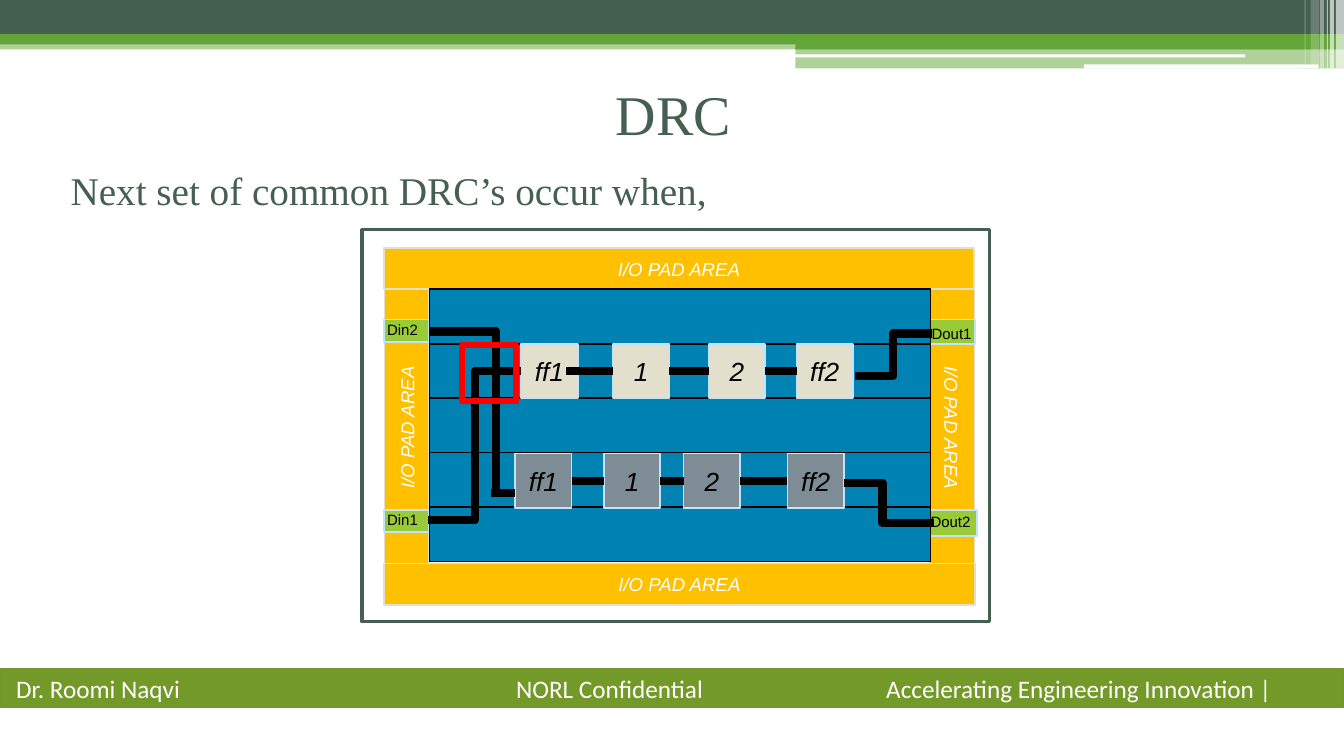
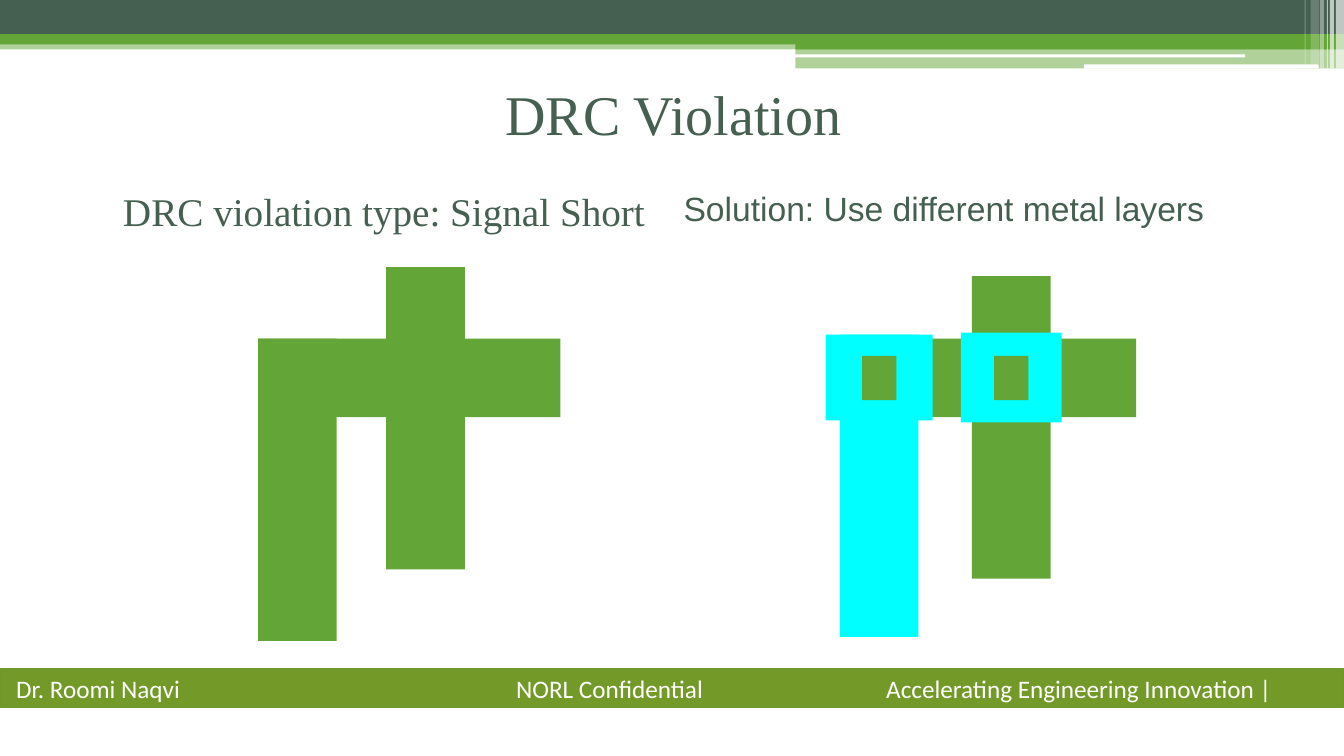
from lxml import etree
from pptx import Presentation
from pptx import util as u
from pptx.dml.color import RGBColor
from pptx.enum import shapes, text
from pptx.oxml import ns

SLATE = RGBColor(0x45, 0x5F, 0x51)
GREEN = RGBColor(0x63, 0xA5, 0x37)
OLIVE = RGBColor(0x73, 0x9A, 0x28)
OLIVE_EDGE = RGBColor(0x71, 0x96, 0x29)
WHITE = RGBColor(0xFF, 0xFF, 0xFF)
BLACK = RGBColor(0x00, 0x00, 0x00)
AMBER = RGBColor(0xFF, 0xC0, 0x00)
CREAM = RGBColor(0xE2, 0xDF, 0xCC)
LIME = RGBColor(0x99, 0xCB, 0x38)
PALE_BLUE = RGBColor(0xC0, 0xE3, 0xFE)
BLUE = RGBColor(0x00, 0x82, 0xB3)
GREY = RGBColor(0x7E, 0x8D, 0x95)
RED = RGBColor(0xFF, 0x00, 0x00)
CYAN = RGBColor(0x00, 0xFF, 0xFF)
SERIF, SANS, FOOTER_FONT = "Times New Roman", "Arial", "Calibri"
RECTANGLE = shapes.MSO_SHAPE.RECTANGLE
ROUNDED = shapes.MSO_SHAPE.ROUNDED_RECTANGLE
STRAIGHT, ELBOW = shapes.MSO_CONNECTOR.STRAIGHT, shapes.MSO_CONNECTOR.ELBOW
LEFT, CENTER = text.PP_ALIGN.LEFT, text.PP_ALIGN.CENTER
TOP, MIDDLE = text.MSO_ANCHOR.TOP, text.MSO_ANCHOR.MIDDLE


def add_box(slide, place, fill=None, line=None, width=1.25, opacity=100, geometry=RECTANGLE):
    shape = slide.shapes.add_shape(geometry, *[u.Inches(value) for value in place])
    shape.shadow.inherit = False
    if fill is None:
        shape.fill.background()
    else:
        shape.fill.solid()
        shape.fill.fore_color.rgb = fill
    if opacity < 100:
        color = shape.fill._xPr.find(".//" + ns.qn("a:srgbClr"))
        etree.SubElement(color, ns.qn("a:alpha"), val=str(opacity * 1000))
    if line is None:
        shape.line.fill.background()
    else:
        shape.line.color.rgb = line
        shape.line.width = u.Pt(width)
    return shape


def add_text(shape, words, size, font, color, align=LEFT, anchor=TOP,
             italic=False, left=0, top=0, wrap=True):
    frame = shape.text_frame
    frame.word_wrap = wrap
    frame.vertical_anchor = anchor
    frame.margin_left, frame.margin_top = u.Inches(left), u.Inches(top)
    frame.margin_right = frame.margin_bottom = 0
    paragraph = frame.paragraphs[0]
    paragraph.alignment = align
    run = paragraph.add_run()
    run.text = words
    run.font.size, run.font.name, run.font.italic = u.Pt(size), font, italic
    run.font.color.rgb = color
    return paragraph


presentation = Presentation()
presentation.slide_width, presentation.slide_height = u.Inches(13.33), u.Inches(7.5)

# Shared bands, footer and text of both slides
bands = [
    ((0, 0.4, 13.33, 0.09), GREEN, 50, RECTANGLE),
    ((0, 0, 13.33, 0.34), SLATE, 100, RECTANGLE),
    ((0, 0.34, 13.33, 0.1), GREEN, 100, RECTANGLE),
    ((7.89, 0.39, 5.44, 0.1), GREEN, 100, RECTANGLE),
    ((7.89, 0.48, 5.44, 0.2), GREEN, 50, RECTANGLE),
    ((7.88, 0.54, 4.47, 0.03), WHITE, 100, ROUNDED),
    ((10.75, 0.64, 2.33, 0.04), WHITE, 100, ROUNDED),
    ((13.25, 0, 0.08, 0.68), WHITE, 65, RECTANGLE),
    ((13.19, 0, 0.04, 0.68), WHITE, 65, RECTANGLE),
    ((13.16, 0, 0.01, 0.68), WHITE, 60, RECTANGLE),
    ((13.09, 0, 0.04, 0.68), WHITE, 40, RECTANGLE),
    ((13, 0, 0.08, 0.64), WHITE, 20, RECTANGLE),
    ((12.94, 0, 0.01, 0.64), WHITE, 30, RECTANGLE),
]
footer = "Dr. Roomi Naqvi\tNORL Confidential\tAccelerating Engineering Innovation |"
footer_tabs = [4.96, 8.63]
contents = [
    ("DRC", [((0.7, 1.65, 12, 0.5), "Next set of common DRC’s occur when,", 28, SERIF)]),
    ("DRC Violation", [
        ((1.22, 1.86, 5.4, 0.42), "DRC violation type: Signal Short", 28, SERIF),
        ((6.78, 1.86, 5.4, 0.42), "Solution: Use different metal layers", 24, SANS),
    ]),
]
slides = []
for title, bodies in contents:
    slide = presentation.slides.add_slide(presentation.slide_layouts[6])
    slides.append(slide)
    for place, fill, opacity, geometry in bands:
        add_box(slide, place, fill, opacity=opacity, geometry=geometry)
    bar = add_box(slide, (0, 6.63, 13.33, 0.39), OLIVE, OLIVE_EDGE, 1)
    paragraph = add_text(bar, footer, 18, FOOTER_FONT, WHITE, anchor=MIDDLE, left=0.16)
    tab_list = etree.SubElement(paragraph._p.get_or_add_pPr(), ns.qn("a:tabLst"))
    for position in footer_tabs:
        etree.SubElement(tab_list, ns.qn("a:tab"), pos=str(u.Inches(position)), algn="l")
    box = slide.shapes.add_textbox(*[u.Inches(value) for value in (0.68, 0.54, 12, 1.17)])
    add_text(box, title, 40, SERIF, SLATE, CENTER, MIDDLE)
    for place, words, size, font in bodies:
        box = slide.shapes.add_textbox(*[u.Inches(value) for value in place])
        add_text(box, words, size, font, SLATE)

drc_slide, violation_slide = slides

# Chip frame and pad areas
add_box(drc_slide, (3.59, 2.28, 6.22, 3.89), WHITE, SLATE, 2.25)
pads = [
    ((7.68, 4.02, 3.52, 0.45), 90),
    ((2.27, 4.02, 3.53, 0.44), 270),
    ((3.81, 2.46, 5.85, 0.41), 0),
    ((3.81, 5.59, 5.86, 0.41), 0),
]
for place, rotation in pads:
    pad = add_box(drc_slide, place, AMBER, CREAM)
    pad.rotation = rotation
    add_text(pad, "I/O PAD AREA", 13.3, SANS, WHITE, CENTER, MIDDLE, italic=True)

# Ports
ports = [
    ("Din2", (3.81, 3.17, 0.44, 0.22), 0.03, 0.01),
    ("Din1", (3.81, 5.06, 0.44, 0.22), 0.03, 0.01),
    ("Dout1", (9.22, 3.17, 0.45, 0.24), 0.02, 0.05),
    ("Dout2", (9.22, 5.06, 0.47, 0.26), 0.01, 0.03),
]
for name, place, left, top in ports:
    port = add_box(drc_slide, place, LIME, PALE_BLUE)
    add_text(port, name, 10.7, SANS, BLACK, left=left, top=top, wrap=False)

# Cell rows
for row in range(5):
    add_box(drc_slide, (4.26, 2.87 + row * 0.54, 4.97, 0.54), BLUE, BLACK)

# Logic blocks, from left to right
block_rows = [
    (3.41, CREAM, [5.17, 6.08, 7.03, 7.9]),
    (4.5, GREY, [5.11, 5.99, 6.78, 7.81]),
]
wires = []
for top, fill, lefts in block_rows:
    previous = None
    for name, left in zip(["ff1", "1", "2", "ff2"], lefts):
        block = add_box(drc_slide, (left, top, 0.56, 0.54), fill, PALE_BLUE)
        add_text(block, name, 18.7, SANS, BLACK, CENTER, MIDDLE, italic=True)
        if previous is not None:
            wires.append((STRAIGHT, (left - 0.3, top + 0.27, left, top + 0.27), previous, block))
        previous = block

# The first upper wire starts inside its flip-flop
kind, ends, start, end = wires[0]
wires[0] = (kind, (5.61, *ends[1:]), None, end)

# Wires
wires += [
    (ELBOW, (9.24, 3.31, 8.48, 3.73), None, None),
    (ELBOW, (5.17, 3.68, 4.25, 5.16), None, None),
    (ELBOW, (8.37, 4.79, 9.14, 5.19), None, None),
    (STRAIGHT, (8.95, 5.19, 9.26, 5.19), None, None),
    (ELBOW, (4.26, 3.29, 4.92, 4.89), None, None),
    (STRAIGHT, (4.87, 4.89, 5.11, 4.89), None, None),
]
for kind, ends, start, end in wires:
    wire = drc_slide.shapes.add_connector(kind, *[u.Inches(value) for value in ends])
    wire.line.color.rgb = BLACK
    wire.line.width = u.Pt(6)
    etree.SubElement(wire._element.spPr, ns.qn("a:effectLst"))
    if start is not None:
        wire.begin_connect(start, 3)
    if end is not None:
        wire.end_connect(end, 1)
    if ends[:2] == (4.26, 3.29):
        # Bend at the far end, so the wire turns once
        guides = wire._element.spPr.find(".//" + ns.qn("a:avLst"))
        etree.SubElement(guides, ns.qn("a:gd"), name="adj1", fmla="val 100000")

# Marker around the short
add_box(drc_slide, (4.58, 3.42, 0.54, 0.56), None, RED, 4.5)

# Metal layers: the short on the left, the solution on the right
metals = [
    (2.56, 3.36, 0.78, 3, GREEN),
    (2.56, 3.36, 3, 0.78, GREEN),
    (3.83, 2.65, 0.78, 3, GREEN),
    (9.64, 2.74, 0.78, 3, GREEN),
    (8.33, 3.32, 0.78, 3, CYAN),
    (8.27, 3.36, 3, 0.78, GREEN),
    (8.19, 3.32, 1.06, 0.85, CYAN),
    (8.55, 3.53, 0.34, 0.44, GREEN),
    (9.53, 3.3, 1, 0.89, CYAN),
    (9.86, 3.53, 0.34, 0.44, GREEN),
]
for *place, fill in metals:
    add_box(violation_slide, place, fill)

presentation.save("out.pptx")
